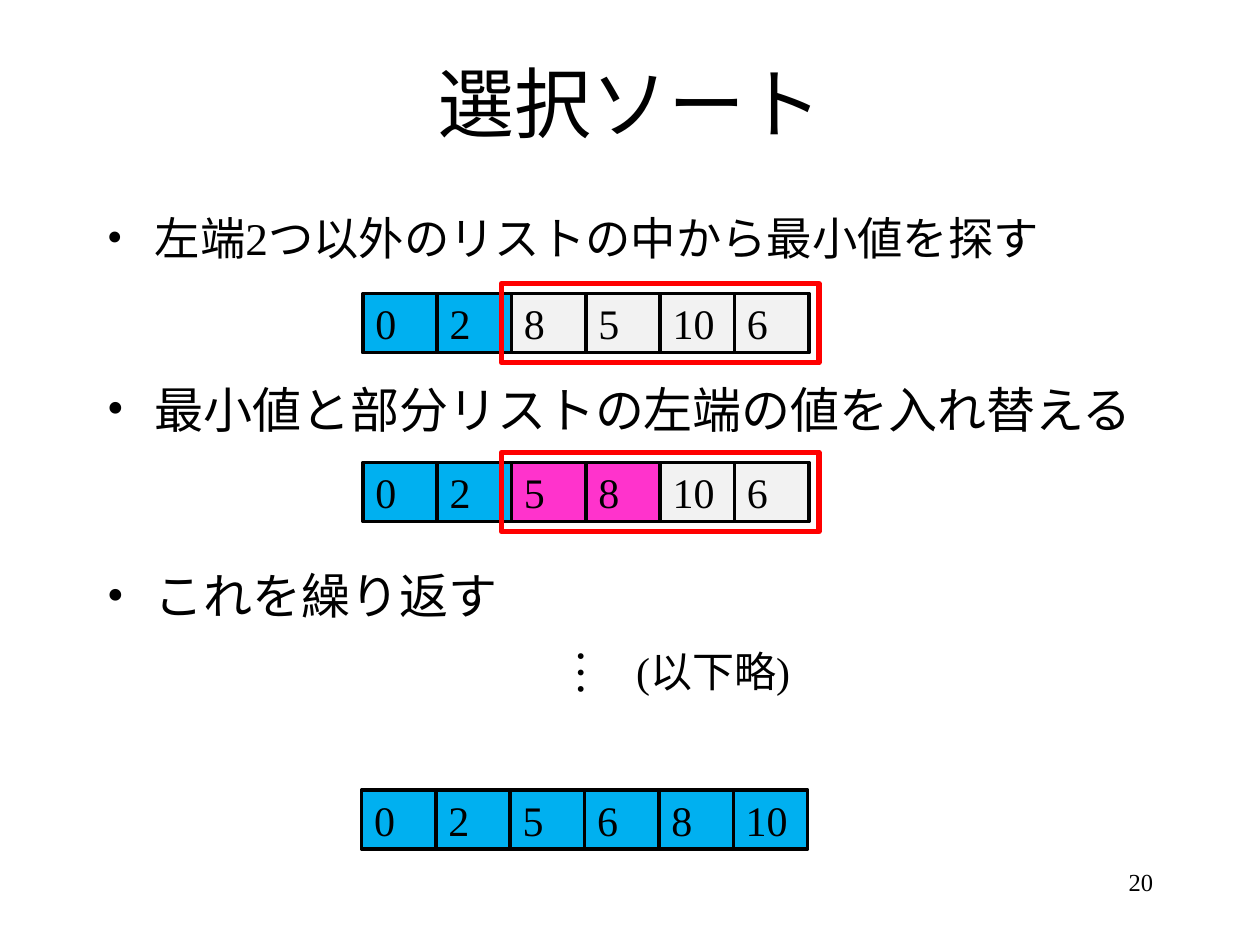
from dataclasses import dataclass

from lxml import etree
from pptx import Presentation
from pptx import util as u
from pptx.dml import color
from pptx.enum import shapes, text
from pptx.oxml import ns


@dataclass(frozen=True)
class Theme:
    font: str = "Times New Roman"
    ink: str = "000000"
    sorted_fill: str = "00B0F0"
    open_fill: str = "F2F2F2"
    swap_fill: str = "FF33CC"
    frame: str = "FF0000"
    title_size: float = 44
    bullet_size: float = 28
    long_bullet_size: float = 25.9
    cell_size: float = 24
    number_size: float = 14
    cell_line: float = 2
    frame_line: float = 3


THEME = Theme()
CELL_WIDTH, CELL_HEIGHT = 0.59, 0.47
FRAME_MARGIN = 0.08
BULLET_INDENT = 0.38


def rgb(value):
    return color.RGBColor.from_string(value)


def write(shape, wording, size, wrap=True, anchor=text.MSO_ANCHOR.TOP, **formats):
    frame = shape.text_frame
    frame.word_wrap = wrap
    frame.vertical_anchor = anchor
    para = frame.paragraphs[0]
    for name, value in ({"alignment": text.PP_ALIGN.LEFT} | formats).items():
        setattr(para, name, value)
    span = para.add_run()
    span.text = wording
    for name, value in {"name": THEME.font, "size": u.Pt(size)}.items():
        setattr(span.font, name, value)
    span.font.color.rgb = rgb(THEME.ink)
    return para


def add_label(page, box, wording, size, rotation=0, **formats):
    label = page.shapes.add_textbox(*map(u.Inches, box))
    label.rotation = rotation
    return write(label, wording, size, **formats)


def add_bullet(page, box, wording, size):
    para = add_label(page, box, wording, size, space_before=u.Pt(7))
    properties = para._p.get_or_add_pPr()
    indent = u.Inches(BULLET_INDENT)
    properties.set("marL", str(indent))
    properties.set("indent", str(-indent))
    etree.SubElement(properties, ns.qn("a:buFont"), typeface=THEME.font)
    etree.SubElement(properties, ns.qn("a:buChar"), char="•")


def add_rectangle(page, box, line, width, fill=None):
    rectangle = page.shapes.add_shape(
        shapes.MSO_SHAPE.RECTANGLE, *map(u.Inches, box))
    rectangle.shadow.inherit = False
    rectangle.line.color.rgb = rgb(line)
    rectangle.line.width = u.Pt(width)
    if fill:
        rectangle.fill.solid()
        rectangle.fill.fore_color.rgb = rgb(fill)
    else:
        rectangle.fill.background()
    return rectangle


def add_list(page, left, top, values, fills, frame_start=None):
    for index, (value, fill) in enumerate(zip(values, fills)):
        box = (left + index * CELL_WIDTH, top, CELL_WIDTH, CELL_HEIGHT)
        cell = add_rectangle(page, box, THEME.ink, THEME.cell_line, fill)
        write(cell, str(value), THEME.cell_size, wrap=False,
              anchor=text.MSO_ANCHOR.MIDDLE)
    if frame_start is not None:
        box = (left + frame_start * CELL_WIDTH - FRAME_MARGIN,
               top - FRAME_MARGIN,
               (len(values) - frame_start) * CELL_WIDTH + 2 * FRAME_MARGIN,
               CELL_HEIGHT + 2 * FRAME_MARGIN)
        add_rectangle(page, box, THEME.frame, THEME.frame_line)


def add_omission(page, left, top):
    add_label(page, (left, top, 0.75, 0.71), "…", THEME.bullet_size,
              rotation=90, space_before=u.Pt(7))
    add_label(page, (left + 0.65, top, 1.73, 0.71), "(以下略)",
              THEME.cell_size, space_before=u.Pt(6))


def build_sort_slide(page):
    done, waiting, swapped = THEME.sorted_fill, THEME.open_fill, THEME.swap_fill
    add_label(page, (0.75, 0, 8.5, 1.62), "選択ソート", THEME.title_size,
              anchor=text.MSO_ANCHOR.MIDDLE, alignment=text.PP_ALIGN.CENTER)
    bullets = [
        (1.62, "左端2つ以外のリストの中から最小値を探す ", THEME.long_bullet_size),
        (2.96, "最小値と部分リストの左端の値を入れ替える", THEME.bullet_size),
        (4.44, "これを繰り返す", THEME.bullet_size),
    ]
    for top, wording, size in bullets:
        add_bullet(page, (0.75, top, 8.66, 0.71), wording, size)
    add_list(page, 2.88, 2.33, [0, 2, 8, 5, 10, 6],
             [done] * 2 + [waiting] * 4, frame_start=2)
    add_list(page, 2.88, 3.67, [0, 2, 5, 8, 10, 6],
             [done] * 2 + [swapped] * 2 + [waiting] * 2, frame_start=2)
    add_omission(page, 4.3, 5.07)
    add_list(page, 2.87, 6.27, [0, 2, 5, 6, 8, 10], [done] * 6)
    add_label(page, (7.17, 6.83, 2.08, 0.5), "20", THEME.number_size,
              alignment=text.PP_ALIGN.RIGHT)


def main():
    deck = Presentation()
    deck.slide_width, deck.slide_height = u.Inches(10), u.Inches(7.5)
    build_sort_slide(deck.slides.add_slide(deck.slide_layouts[6]))
    deck.save("out.pptx")


if __name__ == "__main__":
    main()
